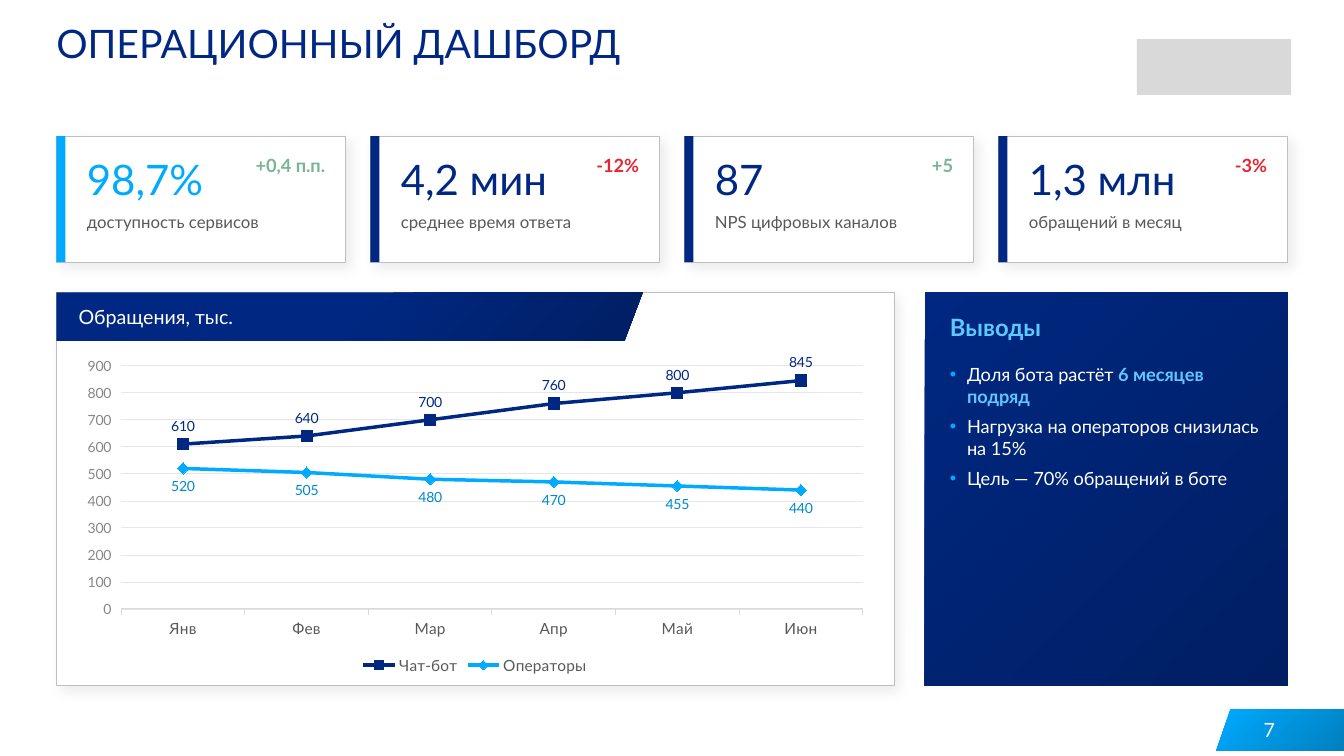
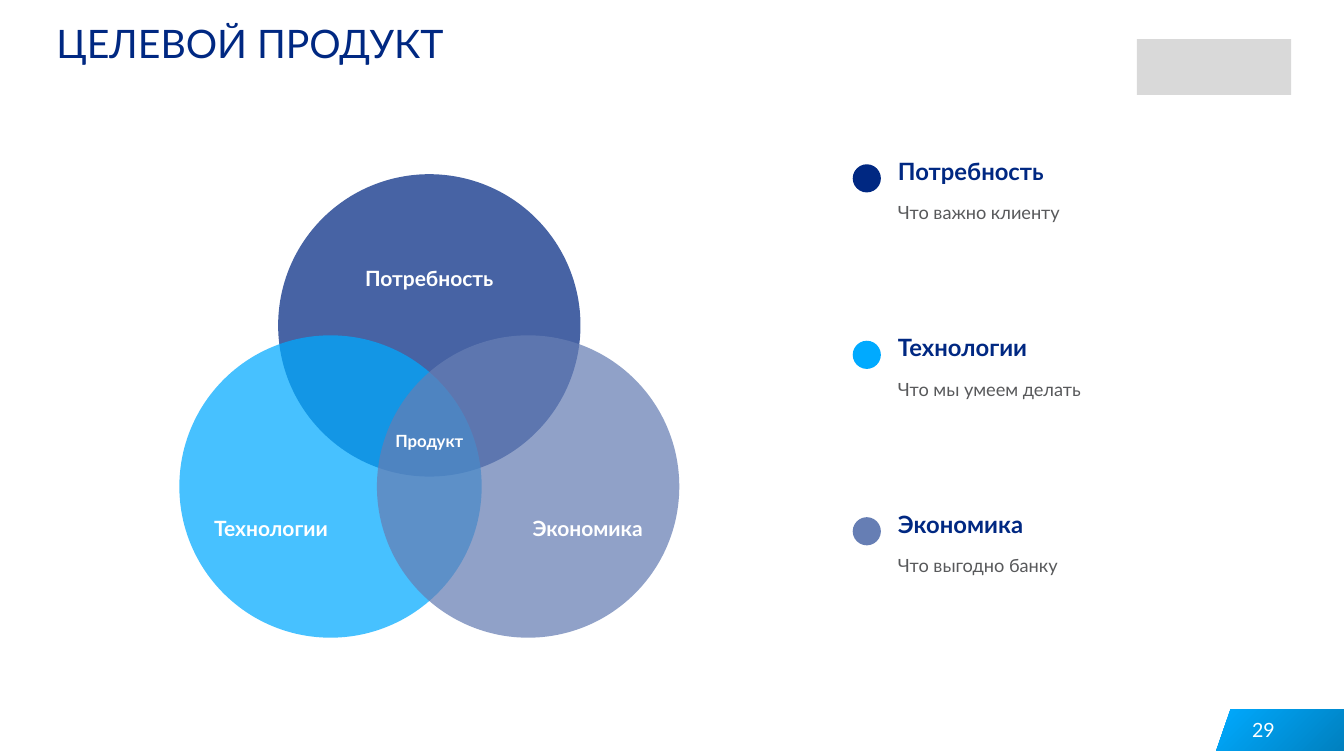
from dataclasses import dataclass

from lxml.etree import SubElement as add_node
from pptx import Presentation
from pptx.chart.data import CategoryChartData as ChartData
from pptx.dml.color import RGBColor
from pptx.enum.chart import XL_CHART_TYPE as ChartType
from pptx.enum.chart import XL_LABEL_POSITION as LabelPosition
from pptx.enum.chart import XL_LEGEND_POSITION as LegendPosition
from pptx.enum.chart import XL_MARKER_STYLE as Marker
from pptx.enum.chart import XL_TICK_MARK as Tick
from pptx.enum.shapes import MSO_SHAPE as Preset
from pptx.enum.text import MSO_ANCHOR as Anchor
from pptx.enum.text import MSO_AUTO_SIZE as AutoSize
from pptx.enum.text import PP_ALIGN as Align
from pptx.oxml.ns import qn
from pptx.util import Cm, Pt


@dataclass(frozen=True)
class Theme:
    font: str = "Lato"
    # Colours
    navy: str = "002882"
    deep: str = "001E62"
    azure: str = "00AAFF"
    azure_dark: str = "0080BF"
    azure_label: str = "0088CC"
    sky: str = "5FC8FF"
    slate: str = "667EB4"
    white: str = "FFFFFF"
    text: str = "58595B"
    muted: str = "878787"
    border: str = "BFBFBF"
    axis: str = "D9D9D9"
    grid: str = "E6E6E6"
    good: str = "78B497"
    bad: str = "E62632"
    # Type sizes
    title: int = 28
    value: int = 30
    heading: int = 17
    label: int = 15
    band: int = 14
    body: int = 13
    caption: int = 12
    chart: int = 11
    chart_small: int = 10


@dataclass(frozen=True)
class Box:
    """A rectangle in centimetres."""
    left: float
    top: float
    width: float
    height: float

    def inner(self, dx, dy, width, height):
        return Box(self.left + dx, self.top + dy, width, height)

    def lengths(self):
        return Cm(self.left), Cm(self.top), Cm(self.width), Cm(self.height)


THEME = Theme()
PAGE = Box(0, 0, 33.87, 19.05)
CONTENT = Box(1.42, 3.43, 31.03, 13.85)


def rgb(color):
    return RGBColor.from_string(color)


# Text helpers

def style_font(font, size, color, bold=False):
    font.name, font.size, font.bold = THEME.font, Pt(size), bold
    font.color.rgb = rgb(color)


def add_run(para, text, size, color, bold=False):
    run = para.add_run()
    run.text = text
    style_font(run.font, size, color, bold)


def clear_frame(frame, anchor=Anchor.TOP, inset=0):
    frame.word_wrap, frame.auto_size = True, AutoSize.NONE
    frame.vertical_anchor = anchor
    frame.margin_left = frame.margin_right = Cm(inset)
    frame.margin_top = frame.margin_bottom = 0


def add_text(page, box, text, size, color, bold=False, align=Align.LEFT,
             anchor=Anchor.TOP, inset=0):
    frame = page.shapes.add_textbox(*box.lengths()).text_frame
    clear_frame(frame, anchor, inset)
    para = frame.paragraphs[0]
    para.alignment = align
    add_run(para, text, size, color, bold)


def place(holder, box):
    holder.left, holder.top, holder.width, holder.height = box.lengths()


# Shape helpers

def paint(shape, color, alpha=None):
    shape.shadow.inherit = False
    shape.fill.solid()
    shape.fill.fore_color.rgb = rgb(color)
    shape.line.fill.background()
    if alpha is not None:
        node = shape.element.spPr.find(".//" + qn("a:srgbClr"))
        add_node(node, qn("a:alpha"), val=str(alpha * 1000))


def paint_gradient(shape, first, last, start=0):
    shape.shadow.inherit = False
    shape.line.fill.background()
    shape.fill.gradient()
    shape.fill.gradient_angle = 315
    for stop, color, position in zip(shape.fill.gradient_stops, (first, last), (start, 1)):
        stop.color.rgb = rgb(color)
        stop.position = position


def add_shape(page, preset, box, color, alpha=None):
    shape = page.shapes.add_shape(preset, *box.lengths())
    paint(shape, color, alpha)
    return shape


def add_polygon(page, points):
    start, *others = [(Cm(x), Cm(y)) for x, y in points]
    builder = page.shapes.build_freeform(*start)
    builder.add_line_segments(others)
    return builder.convert_to_shape()


def add_card(page, box):
    card = add_shape(page, Preset.RECTANGLE, box, THEME.white)
    card.line.color.rgb = rgb(THEME.border)
    card.line.width = Pt(0.5)
    effects = card.element.spPr.find(qn("a:effectLst"))
    shadow = add_node(effects, qn("a:outerShdw"), blurRad=str(Pt(9)), dist=str(Pt(5)),
                      dir=str(45 * 60000), algn="tl", rotWithShape="0")
    color = add_node(shadow, qn("a:srgbClr"), val="000000")
    add_node(color, qn("a:alpha"), val="8000")


# Elements shared by all slides

def add_page(deck, layout, title, number):
    page = deck.slides.add_slide(deck.slide_layouts.get_by_name(layout))
    holder = page.shapes.title
    place(holder, Box(CONTENT.left, 0.48, 26.62, 2.39))
    clear_frame(holder.text_frame)
    para = holder.text_frame.paragraphs[0]
    para.alignment = Align.LEFT
    add_run(para, title, THEME.title, THEME.navy)
    # Emblem block
    add_shape(page, Preset.RECTANGLE, Box(28.65, 0.99, 3.89, 1.4), THEME.axis)
    # Page number flag
    left, top, bottom = 30.65, 17.87, 18.92
    flag = add_polygon(page, [(left + 0.36, top), (PAGE.width, top),
                              (PAGE.width, bottom), (left, bottom)])
    paint_gradient(flag, THEME.azure, THEME.azure_dark)
    add_text(page, Box(30.96, 17.88, 1.42, 1.02), number, THEME.band, THEME.white,
             align=Align.RIGHT, anchor=Anchor.MIDDLE, inset=0.25)
    return page


# Dashboard regions

def add_metric(page, box, value, change, change_color, caption, accent):
    add_card(page, box)
    add_shape(page, Preset.RECTANGLE, box.inner(0, 0, 0.23, box.height), accent)
    add_text(page, box.inner(0.77, 0.25, 6.02, 1.65), value, THEME.value, accent,
             anchor=Anchor.MIDDLE)
    add_text(page, box.inner(box.width - 3.19, 0.46, 2.67, 1.02), change, THEME.body,
             change_color, bold=True, align=Align.RIGHT)
    add_text(page, box.inner(0.77, 1.91, 6.15, 1.14), caption, THEME.caption, THEME.text)


def add_metrics(page, box, metrics):
    gap = 0.62
    width = (box.width - gap * (len(metrics) - 1)) / len(metrics)
    for index, metric in enumerate(metrics):
        add_metric(page, box.inner(index * (width + gap), 0, width, box.height), *metric)


def add_line_chart(page, box, months, series):
    data = ChartData(number_format="0")
    data.categories = months
    for name, values, *_ in series:
        data.add_series(name, values)
    chart = page.shapes.add_chart(ChartType.LINE_MARKERS, *box.lengths(), data).chart
    style_font(chart.font, THEME.chart, THEME.text)
    chart.has_title = False
    chart.has_legend = True
    chart.legend.position = LegendPosition.BOTTOM
    chart.legend.include_in_layout = False
    style_font(chart.legend.font, THEME.chart, THEME.text)
    # Axes
    months_axis, values_axis = chart.category_axis, chart.value_axis
    months_axis.major_tick_mark = Tick.OUTSIDE
    months_axis.format.line.color.rgb = rgb(THEME.axis)
    months_axis.format.line.width = Pt(0.75)
    style_font(months_axis.tick_labels.font, THEME.chart, THEME.text)
    values_axis.minimum_scale, values_axis.maximum_scale = 0, 900
    values_axis.major_unit = 100
    values_axis.format.line.fill.background()
    grid = values_axis.major_gridlines.format.line
    grid.color.rgb, grid.width = rgb(THEME.grid), Pt(0.5)
    style_font(values_axis.tick_labels.font, THEME.chart_small, THEME.muted)
    # Lines, markers and labels
    for line, (_, _, color, label_color, marker, position) in zip(chart.plots[0].series, series):
        line.smooth = False
        line.format.line.color.rgb = rgb(color)
        line.format.line.width = Pt(2.5)
        line.marker.style, line.marker.size = marker, 8
        line.marker.format.fill.solid()
        line.marker.format.fill.fore_color.rgb = rgb(color)
        line.marker.format.line.color.rgb = rgb(color)
        labels = line.data_labels
        labels.show_value, labels.position = True, position
        labels.number_format, labels.number_format_is_linked = "0", False
        style_font(labels.font, THEME.chart_small, label_color)


def add_chart_card(page, box, heading, months, series):
    add_card(page, box)
    right, bottom = box.left + box.width * 0.7, box.top + 1.22
    band = add_polygon(page, [(box.left, box.top), (right, box.top),
                              (right - 0.46, bottom), (box.left, bottom)])
    paint_gradient(band, THEME.navy, THEME.deep, start=0.5)
    add_text(page, box.inner(0.56, 0.1, 13.51, 1.02), heading, THEME.band, THEME.white,
             anchor=Anchor.MIDDLE)
    add_line_chart(page, box.inner(0.38, 1.47, box.width - 0.76, 8.26), months, series)


def add_findings(page, box, heading, findings):
    panel = page.shapes.add_shape(Preset.RECTANGLE, *box.lengths())
    paint_gradient(panel, THEME.navy, THEME.deep)
    width = box.width - 1.27
    add_text(page, box.inner(0.64, 0.51, width, 1.02), heading, THEME.heading, THEME.sky, bold=True)
    # Bulleted list, raised above the panel
    body = page.placeholders[1]
    place(body, box.inner(0.64, 1.78, width, 7.62))
    body.element.getparent().append(body.element)
    frame = body.text_frame
    clear_frame(frame)
    for index, runs in enumerate(findings):
        para = frame.add_paragraph() if index else frame.paragraphs[0]
        settings = para._p.get_or_add_pPr()
        settings.set("marL", str(Cm(0.43)))
        settings.set("indent", str(-Cm(0.43)))
        bullet_color = add_node(settings, qn("a:buClr"))
        add_node(bullet_color, qn("a:srgbClr"), val=THEME.azure)
        add_node(settings, qn("a:buChar"), char="•")
        para.space_before = Pt(6 if index else 0)
        for text, strong in runs:
            add_run(para, text, THEME.body, THEME.sky if strong else THEME.white, strong)


def build_dashboard(deck):
    page = add_page(deck, "Title and Content", "ОПЕРАЦИОННЫЙ ДАШБОРД", "7")
    add_metrics(page, CONTENT.inner(0, 0, CONTENT.width, 3.18), [
        ("98,7%", "+0,4 п.п.", THEME.good, "доступность сервисов", THEME.azure),
        ("4,2 мин", "-12%", THEME.bad, "среднее время ответа", THEME.navy),
        ("87", "+5", THEME.good, "NPS цифровых каналов", THEME.navy),
        ("1,3 млн", "-3%", THEME.bad, "обращений в месяц", THEME.navy),
    ])
    row_top, row_height, panel_width = 3.94, 9.91, 9.15
    add_chart_card(
        page, CONTENT.inner(0, row_top, 21.11, row_height), "Обращения, тыс.",
        ["Янв", "Фев", "Мар", "Апр", "Май", "Июн"],
        [("Чат-бот", (610, 640, 700, 760, 800, 845), THEME.navy, THEME.navy,
          Marker.SQUARE, LabelPosition.ABOVE),
         ("Операторы", (520, 505, 480, 470, 455, 440), THEME.azure, THEME.azure_label,
          Marker.DIAMOND, LabelPosition.BELOW)])
    add_findings(
        page, CONTENT.inner(CONTENT.width - panel_width, row_top, panel_width, row_height),
        "Выводы",
        [[("Доля бота растёт ", False), ("6 месяцев подряд", True)],
         [("Нагрузка на операторов снизилась на 15%", False)],
         [("Цель — 70% обращений в боте", False)]])


# Product regions

def add_venn(page, box, topics, core):
    size = 7.62
    middle, right, low = (box.width - size) / 2, box.width - size, box.height - size
    corners = [(middle, 0), (0, low), (right, low)]
    label_shifts = [(0, -1.19), (-1.5, 1.04), (1.5, 1.04)]
    for (x, y), (_, _, color) in zip(corners, topics):
        add_shape(page, Preset.OVAL, box.inner(x, y, size, size), color, alpha=72)
    # Labels are centred on their points
    labels = [(x + size / 2 + dx, y + size / 2 + dy, name, THEME.label)
              for (x, y), (dx, dy), (name, _, _) in zip(corners, label_shifts, topics)]
    labels.append((box.width / 2, 6.71, core, THEME.caption))
    width, height = 5.08, 1.52
    for x, y, name, font_size in labels:
        add_text(page, box.inner(x - width / 2, y - height / 2, width, height), name, font_size,
                 THEME.white, bold=True, align=Align.CENTER, anchor=Anchor.MIDDLE)


def add_legend(page, box, topics):
    pitch, indent = box.height / len(topics), 1.14
    for index, (name, note, color) in enumerate(topics):
        row = box.inner(0, index * pitch, box.width, pitch)
        width = row.width - indent
        add_shape(page, Preset.OVAL, row.inner(0, 0.2, 0.71, 0.71), color)
        add_text(page, row.inner(indent, 0, width, 1.14), name, THEME.heading, THEME.navy, bold=True)
        add_text(page, row.inner(indent, 1.14, width, 3.05), note, THEME.body, THEME.text)


def build_product(deck):
    page = add_page(deck, "Title Only", "ЦЕЛЕВОЙ ПРОДУКТ", "29")
    topics = [
        ("Потребность", "Что важно клиенту", THEME.navy),
        ("Технологии", "Что мы умеем делать", THEME.azure),
        ("Экономика", "Что выгодно банку", THEME.slate),
    ]
    add_venn(page, Box(4.52, 4.39, 12.6, 11.68), topics, "Продукт")
    add_legend(page, Box(21.49, 3.94, 10.95, 13.34), topics)


def main():
    deck = Presentation()
    deck.slide_width, deck.slide_height = Cm(PAGE.width), Cm(PAGE.height)
    build_dashboard(deck)
    build_product(deck)
    deck.save("out.pptx")


if __name__ == "__main__":
    main()
